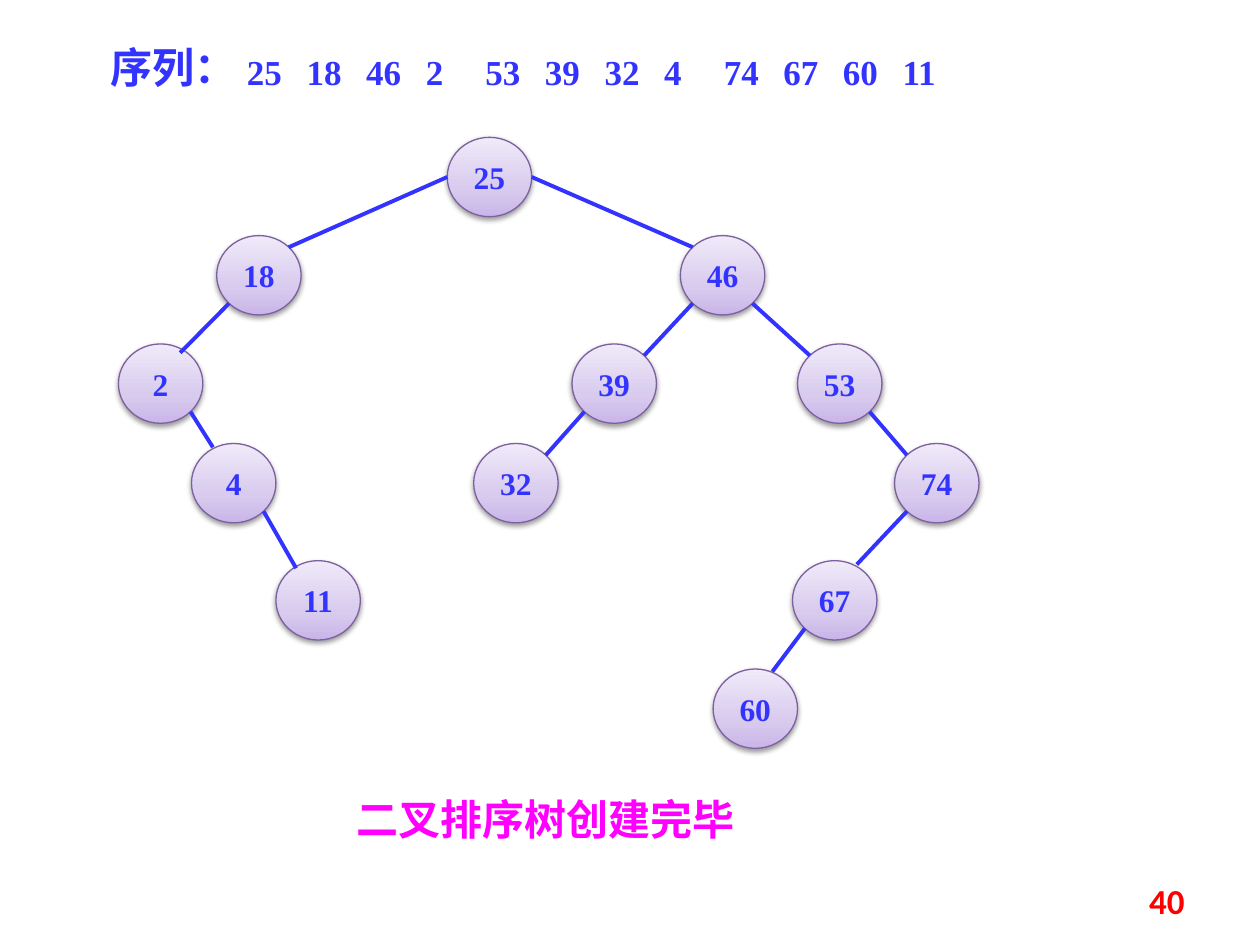
from dataclasses import dataclass
from math import sqrt

from lxml.etree import SubElement
from pptx import Presentation
from pptx.dml.color import RGBColor
from pptx.enum.shapes import MSO_CONNECTOR as Connector, MSO_SHAPE as Shape
from pptx.enum.text import MSO_ANCHOR as Anchor, PP_ALIGN as Align
from pptx.oxml import parse_xml
from pptx.oxml.ns import nsdecls, qn
from pptx.util import Inches, Pt


@dataclass(frozen=True)
class Theme:
    blue: str = "3333FF"
    magenta: str = "FF00FF"
    red: str = "FF0000"
    outline: str = "7D60A0"
    gradient: tuple = ((0, "C9B5E8"), (35, "D8CBEE"), (100, "F0EAF9"))
    chinese: str = "Noto Sans CJK SC"
    digits: str = "Times New Roman"
    footer: str = "Calibri"
    heading_size: int = 24
    number_size: int = 20
    node_size: int = 18
    edge_width: float = 2.25
    outline_width: float = 0.75


@dataclass(frozen=True)
class Node:
    """A tree node by left column and top row; touch overrides where its edge ends."""
    value: int
    column: float
    row: float
    parent: int = None
    touch: tuple = None


COLUMNS, ROWS = 100, 75
NODE_WIDTH, NODE_HEIGHT = 6.7, 6.3
SEQUENCE = (25, 18, 46, 2, 53, 39, 32, 4, 74, 67, 60, 11)
TREE = (
    Node(25, 35.5, 10.9),
    Node(18, 17.2, 18.7, 25),
    Node(2, 9.4, 27.3, 18, (14.3, 28)),
    Node(4, 15.2, 35.2, 2, (16.9, 35.5)),
    Node(11, 21.9, 44.5, 4, (23.5, 45.1)),
    Node(46, 54, 18.7, 25),
    Node(39, 45.4, 27.3, 46),
    Node(32, 37.6, 35.2, 39),
    Node(53, 63.3, 27.3, 46),
    Node(74, 71, 35.2, 53),
    Node(67, 62.9, 44.5, 74, (68, 44.8)),
    Node(60, 56.6, 53.1, 67, (61.3, 53.3)),
)


class SlideBuilder:
    def __init__(self, deck, theme):
        self.theme = theme
        self.slide = deck.slides.add_slide(deck.slide_layouts[6])
        self.column = deck.slide_width / COLUMNS
        self.row = deck.slide_height / ROWS

    def emu(self, *lengths):
        """Turn alternating columns and rows into slide lengths."""
        units = (self.column, self.row)
        return [round(length * units[i % 2]) for i, length in enumerate(lengths)]

    def set_text(self, frame, text, font, size, color, align=Align.LEFT):
        frame.text = str(text)
        para = frame.paragraphs[0]
        para.alignment = align
        span = para.runs[0]
        span.font.name, span.font.size, span.font.bold = font, Pt(size), True
        span.font.color.rgb = RGBColor.from_string(color)
        east_asian = SubElement(span.font._element, qn("a:ea"))
        east_asian.set("typeface", font)

    def text(self, area, text, font, size, color, align=Align.LEFT,
             anchor=Anchor.TOP, padded=True):
        frame = self.slide.shapes.add_textbox(*self.emu(*area)).text_frame
        frame.word_wrap = True
        frame.vertical_anchor = anchor
        if not padded:
            frame.margin_left = frame.margin_right = 0
            frame.margin_top = frame.margin_bottom = 0
        self.set_text(frame, text, font, size, color, align)

    def node(self, node):
        area = self.emu(node.column, node.row, NODE_WIDTH, NODE_HEIGHT)
        circle = self.slide.shapes.add_shape(Shape.OVAL, *area)
        circle.line.color.rgb = RGBColor.from_string(self.theme.outline)
        circle.line.width = Pt(self.theme.outline_width)
        self.shade(circle)
        frame = circle.text_frame
        frame.vertical_anchor = Anchor.MIDDLE
        self.set_text(frame, node.value, self.theme.digits, self.theme.node_size,
                      self.theme.blue, Align.CENTER)

    def shade(self, circle):
        """Add the three-stop gradient and the soft shadow below."""
        stops = "".join(
            f'<a:gs pos="{share * 1000}"><a:srgbClr val="{color}"/></a:gs>'
            for share, color in self.theme.gradient)
        gradient = parse_xml(
            f'<a:gradFill {nsdecls("a")} rotWithShape="1"><a:gsLst>{stops}</a:gsLst>'
            '<a:lin ang="16200000" scaled="0"/></a:gradFill>')
        shadow = parse_xml(
            f'<a:effectLst {nsdecls("a")}><a:outerShdw blurRad="{Pt(3.1)}" '
            f'dist="{Pt(1.6)}" dir="5400000" rotWithShape="0"><a:srgbClr val="000000">'
            '<a:alpha val="38000"/></a:srgbClr></a:outerShdw></a:effectLst>')
        properties = circle._element.spPr
        properties.find(qn("a:prstGeom")).addnext(gradient)
        properties.append(shadow)

    def edge(self, parent, child):
        """Join the lower diagonal of the parent (the side of the root) to the child."""
        side = 1 if child.column > parent.column else -1
        if parent.parent is None:
            start = rim(parent, side, 0)
        else:
            start = rim(parent, side / sqrt(2), 1 / sqrt(2))
        end = child.touch or rim(child, -side / sqrt(2), -1 / sqrt(2))
        line = self.slide.shapes.add_connector(
            Connector.STRAIGHT, *self.emu(*start, *end))
        line.line.color.rgb = RGBColor.from_string(self.theme.blue)
        line.line.width = Pt(self.theme.edge_width)
        SubElement(line._element.spPr, qn("a:effectLst"))


def rim(node, across, down):
    """Point on the node's rim, as shares of its half width and half height."""
    return (node.column + NODE_WIDTH / 2 * (1 + across),
            node.row + NODE_HEIGHT / 2 * (1 + down))


def main():
    deck = Presentation()
    deck.slide_width, deck.slide_height = Inches(10), Inches(7.5)
    theme = Theme()
    page = SlideBuilder(deck, theme)

    page.text((7.8, 2.8, 9.4, 5), "序列：", theme.chinese, theme.heading_size, theme.blue)
    for index, value in enumerate(SEQUENCE):
        page.text((19.6 + 4.73 * index, 4, 3.2, 3.3), value, theme.digits,
                  theme.number_size, theme.blue, padded=False)
    page.text((27.3, 62.5, 34.4, 5), "二叉排序树创建完毕", theme.chinese,
              theme.heading_size, theme.magenta)

    nodes = {node.value: node for node in TREE}
    for node in TREE:
        page.node(node)
        if node.parent is not None:
            page.edge(nodes[node.parent], node)

    page.text((71.7, 69.5, 23.3, 4), 40, theme.footer, theme.number_size, theme.red,
              Align.RIGHT, Anchor.MIDDLE)
    deck.save("out.pptx")


if __name__ == "__main__":
    main()
